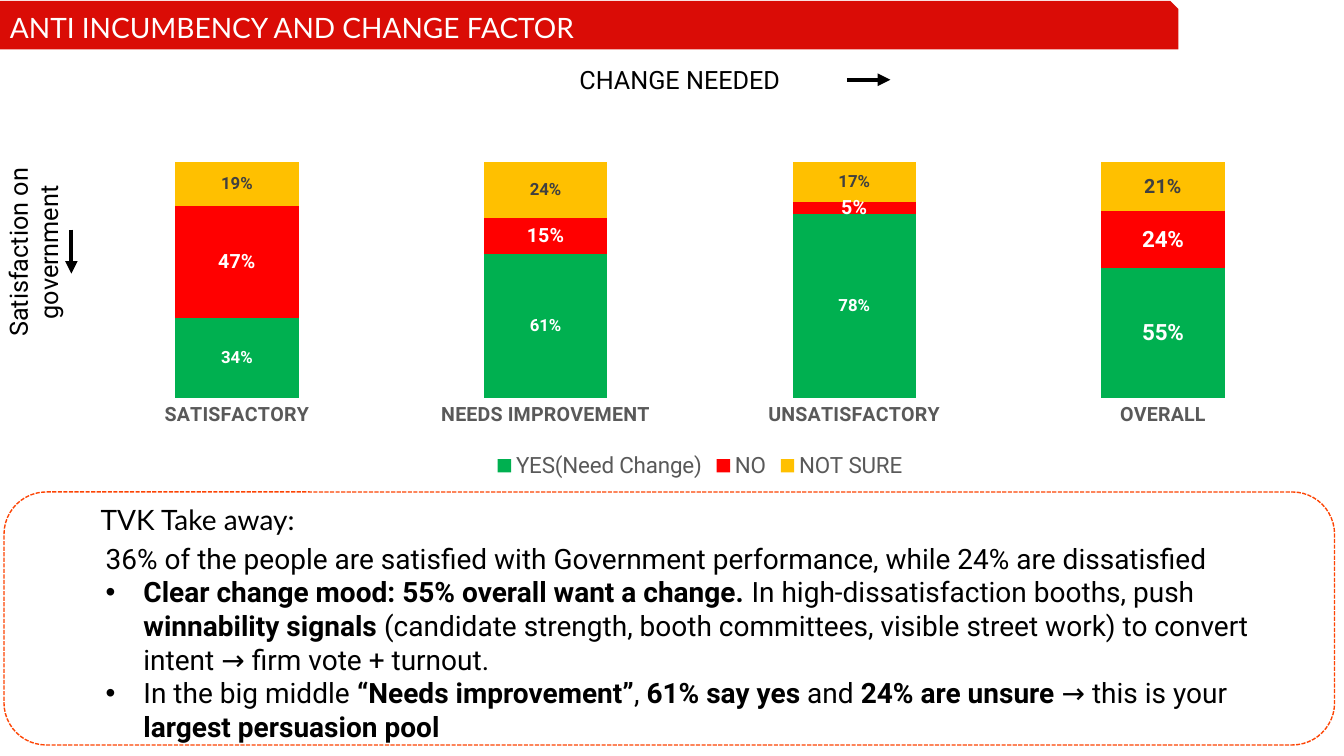
import pptx
import pptx.chart.data
import pptx.dml.color
import pptx.enum.chart
import pptx.enum.dml
import pptx.enum.shapes
import pptx.enum.text
import pptx.oxml
import pptx.oxml.ns
import pptx.util

Pt = pptx.util.Pt
SHAPES = pptx.enum.shapes.MSO_SHAPE
ALIGN = pptx.enum.text.PP_ALIGN

# Content
HUES = {"red": "DA0C06", "white": "FFFFFF", "black": "000000", "edge": "FD4404",
        "grey": "595959", "dark": "404040", "yes": "00B050", "no": "FF0000",
        "unsure": "FFC000"}
HEAD = "ANTI INCUMBENCY AND CHANGE FACTOR"
GROUPS = ["SATISFACTORY", "NEEDS IMPROVEMENT", "UNSATISFACTORY", "OVERALL"]
# name, values, fill, label hue, label size, size on the last bar
SERIES = [
    ("YES(Need Change)", (0.34, 0.61, 0.78, 0.55), "yes", "white", 12, 16),
    ("NO", (0.47, 0.15, 0.05, 0.24), "no", "white", 14, 16),
    ("NOT SURE", (0.19, 0.24, 0.17, 0.21), "unsure", "dark", 12, 14),
]
# bulleted or not, then (text, bold) runs
NOTES = [
    (False, [("36% of the people are satisfied with Government performance, "
              "while 24% are dissatisfied", False)]),
    (True, [("Clear change mood: 55% overall want a change. ", True),
            ("In high-dissatisfaction booths, push ", False),
            ("winnability signals", True),
            (" (candidate strength, booth committees, visible street work) "
             "to convert intent → firm vote + turnout.", False)]),
    (True, [("In the big middle ", False), ("“Needs improvement”", True),
            (", ", False), ("61% say yes", True), (" and ", False),
            ("24% are unsure", True), (" → this is your ", False),
            ("largest persuasion pool", True)]),
]
ARROWS = [(605, 57, 636, 57), (51, 164, 51, 195.5)]


def hue(key):
    return pptx.dml.color.RGBColor.from_string(HUES[key])


def put(obj, vals):
    for key, val in vals.items():
        setattr(obj, key, val)


def style(font, face, size, tint="black", bold=False):
    put(font, {"name": face, "size": Pt(size), "bold": bold})
    font.color.rgb = hue(tint)


def fill(part, tint):
    part.fill.solid()
    part.fill.fore_color.rgb = hue(tint)


def node(text):
    return pptx.oxml.parse_xml(text)


def box(slide, area):
    shape = slide.shapes.add_textbox(*map(Pt, area))
    put(shape.text_frame, {
        "word_wrap": True,
        "auto_size": pptx.enum.text.MSO_AUTO_SIZE.SHAPE_TO_FIT_TEXT})
    return shape


def write(para, text, *look):
    run = para.add_run()
    run.text = text
    style(run.font, *look)


def add_bars(slide):
    data = pptx.chart.data.CategoryChartData(number_format="0%")
    data.categories = GROUPS
    for name, vals, *_ in SERIES:
        data.add_series(name, vals)
    chart = slide.shapes.add_chart(
        pptx.enum.chart.XL_CHART_TYPE.COLUMN_STACKED,
        *map(Pt, (59, 70.6, 882, 274.3)), data).chart
    style(chart.font, "Calibri", 10)
    put(chart, {"has_title": False, "has_legend": True})
    put(chart.legend, {"include_in_layout": False,
                       "position": pptx.enum.chart.XL_LEGEND_POSITION.BOTTOM})
    style(chart.legend.font, "Roboto", 16, "grey")

    # Axes
    put(chart.value_axis, {"visible": False, "has_major_gridlines": False,
                           "minimum_scale": 0, "maximum_scale": 1.2})
    none = pptx.enum.chart.XL_TICK_MARK.NONE
    axis = chart.category_axis
    put(axis, {"major_tick_mark": none, "minor_tick_mark": none})
    axis.format.line.fill.background()
    style(axis.tick_labels.font, "Roboto", 14, "grey", True)

    # Bars and labels
    plot = chart.plots[0]
    put(plot, {"gap_width": 150, "overlap": 100, "vary_by_categories": False})
    for bar, (_, _, tint, ink, size, last) in zip(plot.series, SERIES):
        fill(bar.format, tint)
        labels = bar.data_labels
        put(labels, {"show_value": True, "number_format": "0%",
                     "number_format_is_linked": False})
        style(labels.font, "Roboto", size, ink, True)
        point = bar.points[len(GROUPS) - 1]
        style(point.data_label.font, "Roboto", last, ink, True)

    # Fixed plot area
    area = chart._chartSpace.chart.plotArea
    for old in area.findall(pptx.oxml.ns.qn("c:layout")):
        area.remove(old)
    frame = {"layoutTarget": "inner", "xMode": "edge", "yMode": "edge",
             "x": 0, "y": 0.04, "w": 1, "h": 0.74}
    parts = "".join(f'<c:{key} val="{val}"/>' for key, val in frame.items())
    area.insert(0, node(f'<c:layout {pptx.oxml.ns.nsdecls("c")}>'
                        f'<c:manualLayout>{parts}</c:manualLayout></c:layout>'))


def add_arrow(slide, ends):
    kind = pptx.enum.shapes.MSO_CONNECTOR.STRAIGHT
    arrow = slide.shapes.add_connector(kind, *map(Pt, ends))
    arrow.line.width = Pt(3)
    arrow.line.color.rgb = hue("black")
    space = pptx.oxml.ns.nsdecls("a")
    arrow.line._get_or_add_ln().append(
        node(f'<a:tailEnd {space} type="triangle"/>'))
    arrow._element.spPr.append(node(f'<a:effectLst {space}/>'))


def add_notes(slide):
    frame = box(slide, (32.4, 383, 909.4, 152.6)).text_frame
    for i, (dot, runs) in enumerate(NOTES):
        para = frame.add_paragraph() if i else frame.paragraphs[0]
        para.level = 1
        props = para._p.get_or_add_pPr()
        left, hang = (Pt(63), Pt(-27)) if dot else (Pt(36), 0)
        props.set("marL", str(left))
        props.set("indent", str(hang))
        if dot:
            space = pptx.oxml.ns.nsdecls("a")
            props.append(node(f'<a:buFont {space} typeface="Arial"/>'))
            props.append(node(f'<a:buChar {space} char="•"/>'))
        for text, bold in runs:
            write(para, text, "Roboto", 20, "black", bold)


def main():
    deck = pptx.Presentation()
    put(deck, {"slide_width": Pt(960), "slide_height": Pt(540)})
    slide = deck.slides.add_slide(deck.slide_layouts[6])

    # Header band
    band = slide.shapes.add_shape(SHAPES.SNIP_1_RECTANGLE,
                                  *map(Pt, (0, 0.7, 841.7, 34.6)))
    band.shadow.inherit = False
    fill(band, "red")
    band.line.fill.background()
    para = band.text_frame.paragraphs[0]
    para.alignment = ALIGN.LEFT
    write(para, HEAD, "Lato", 20, "white")

    # Chart with its two direction labels
    add_bars(slide)
    across = box(slide, (406.8, 42.5, 213.8, 29))
    write(across.text_frame.paragraphs[0], "CHANGE NEEDED", "Roboto", 18)
    down = box(slide, (-87, 154.8, 221.8, 51))
    down.rotation = 270
    para = down.text_frame.paragraphs[0]
    para.alignment = ALIGN.CENTER
    write(para, "Satisfaction on government", "Roboto", 18)
    for ends in ARROWS:
        add_arrow(slide, ends)

    # Take-away panel
    panel = slide.shapes.add_shape(SHAPES.ROUNDED_RECTANGLE,
                                   *map(Pt, (2.9, 351.4, 950.4, 180.7)))
    panel.shadow.inherit = False
    panel.fill.background()
    panel.line.color.rgb = hue("edge")
    put(panel.line, {"width": Pt(1),
                     "dash_style": pptx.enum.dml.MSO_LINE.SQUARE_DOT})
    title = box(slide, (64.8, 355.7, 814.3, 31.5))
    write(title.text_frame.paragraphs[0], "TVK Take away:", "Lato", 20)
    add_notes(slide)

    deck.save("out.pptx")


if __name__ == "__main__":
    main()
